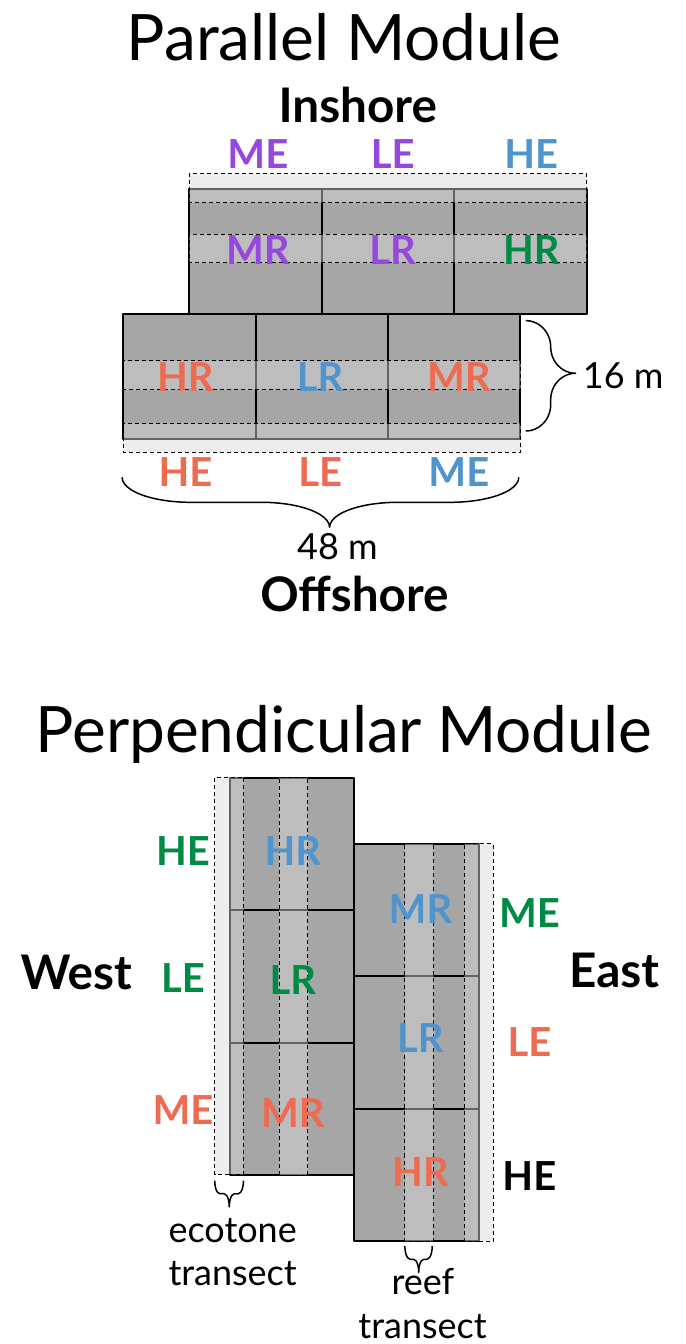
from pptx import Presentation
from pptx.dml.color import RGBColor
from pptx.enum import dml, shapes, text
from pptx.oxml import parse_xml
from pptx.oxml.ns import nsdecls
from pptx.util import Inches, Pt

HUES = {"black": "000000", "block": "A6A6A6", "strip": "D9D9D9", "green": "008B45",
        "red": "EE6A50", "blue": "4F94CD", "purple": "9647DD"}
LONG, DEEP, BAND = 2.76, 2.6, 0.6
MID, LEFT, RIGHT = text.PP_ALIGN.CENTER, text.PP_ALIGN.LEFT, text.PP_ALIGN.RIGHT

deck = Presentation()
deck.slide_width, deck.slide_height = Inches(14.3), Inches(28)
slide = deck.slides.add_slide(deck.slide_layouts[6])


def draw(kind, box, weight, fill=None):
    """Add a black-lined shape, with or without a fill."""
    shape = slide.shapes.add_shape(kind, *map(Inches, box))
    shape.shadow.inherit = False
    shape.line.color.rgb = RGBColor.from_string(HUES["black"])
    shape.line.width = Pt(weight)
    if fill:
        shape.fill.solid()
        shape.fill.fore_color.rgb = RGBColor.from_string(HUES[fill])
    else:
        shape.fill.background()
    return shape


def write(words, box, size, hue="black", bold=False, align=MID):
    label = slide.shapes.add_textbox(*map(Inches, box))
    frame = label.text_frame
    frame.word_wrap = True
    frame.auto_size = text.MSO_AUTO_SIZE.SHAPE_TO_FIT_TEXT
    frame.text = words
    para = frame.paragraphs[0]
    para.alignment = align
    font = para.runs[0].font
    font.name, font.size, font.bold = "Lato", Pt(size), bold
    font.color.rgb = RGBColor.from_string(HUES[hue])


# Rows of three blocks: left, top, whether the row runs down
for left, top, down in [(3.95, 3.94, False), (2.57, 6.54, False),
                        (7.38, 17.58, True), (4.79, 16.2, True)]:
    for i in range(3):
        if down:
            box = left, top + i * LONG, DEEP, LONG
        else:
            box = left + i * LONG, top, LONG, DEEP
        draw(shapes.MSO_SHAPE.RECTANGLE, box, 3, "block")

# Transect strips, each as long as three blocks
for left, top, down in [(3.95, 3.62, False), (3.95, 4.88, False),
                        (2.58, 8.82, False), (2.58, 7.52, False),
                        (5.82, 16.2, True), (4.48, 16.19, True),
                        (8.44, 17.58, True), (9.68, 17.58, True)]:
    size = (BAND, 3 * LONG) if down else (3 * LONG, BAND)
    strip = draw(shapes.MSO_SHAPE.RECTANGLE, (left, top, *size), 1.5, "strip")
    strip.line.dash_style = dml.MSO_LINE.DASH
    tint = strip.fill._xPr.solidFill[0]
    tint.append(parse_xml(f'<a:alpha {nsdecls("a")} val="46000"/>'))

# Plot codes: left, top, steps, whether the row runs down, codes, hues
ACROSS, DOWN = (0, 2.81, 5.7), (0, 2.69, 5.47)
for left, top, steps, down, codes, hues in [
        (4.58, 2.63, ACROSS, False, "ME LE HE", "purple purple blue"),
        (4.58, 4.63, ACROSS, False, "MR LR HR", "purple purple green"),
        (3.07, 7.28, ACROSS, False, "HR LR MR", "red blue red"),
        (3.07, 9.26, ACROSS, False, "HE LE ME", "red red blue"),
        (3.02, 17.14, (0, 2.65, 5.41), True, "HE LE ME", "green green red"),
        (5.31, 17.14, DOWN, True, "HR LR MR", "blue green red"),
        (7.97, 18.36, DOWN, True, "MR LR HR", "blue blue red"),
        (10.24, 18.44, DOWN, True, "ME LE HE", "green red black")]:
    for step, code, hue in zip(steps, codes.split(), hues.split()):
        spot = (left, top + step) if down else (left + step, top)
        write(code, (*spot, 1.59, 1.11), 60, hue, True)

# Braces: box, turn, curl and point
for box, turn, curl, point in [((6.16, 6.33, 1.04, 8.27), 90, 1.369, 0.477),
                               ((10.96, 6.68, 1.04, 2.3), 0, 1.369, 0.477),
                               ((4.5, 24.57, 0.55, 0.6), 90, 0.194, 0.494),
                               ((8.45, 25.95, 0.55, 0.57), 90, 0.194, 0.494)]:
    brace = draw(shapes.MSO_SHAPE.RIGHT_BRACE, box, 2.25)
    brace.rotation = turn
    brace.adjustments[0], brace.adjustments[1] = curl, point

for words, box in [("48 m", (5.88, 10.86, 2.31, 1.01)),
                   ("16 m", (11.78, 7.3, 2.42, 1.01)),
                   ("reef transect", (7.27, 26.18, 3.08, 1.92)),
                   ("ecotone transect", (2.91, 25.09, 3.88, 1.92))]:
    write(words, box, 54)

for words, box, align in [("Inshore", (3.49, 1.52, 7.94, 1.3), MID),
                          ("Offshore", (3.42, 11.7, 7.94, 1.3), MID),
                          ("West", (0.33, 19.57, 2.9, 1.3), LEFT),
                          ("East", (11.36, 19.53, 2.48, 1.3), RIGHT)]:
    write(words, box, 71.5, bold=True, align=align)

for words, top in [("Parallel Module", -0.13), ("Perpendicular Module", 14.3)]:
    write(words, (0.33, top, 13.68, 1.72), 96)

deck.save("out.pptx")
